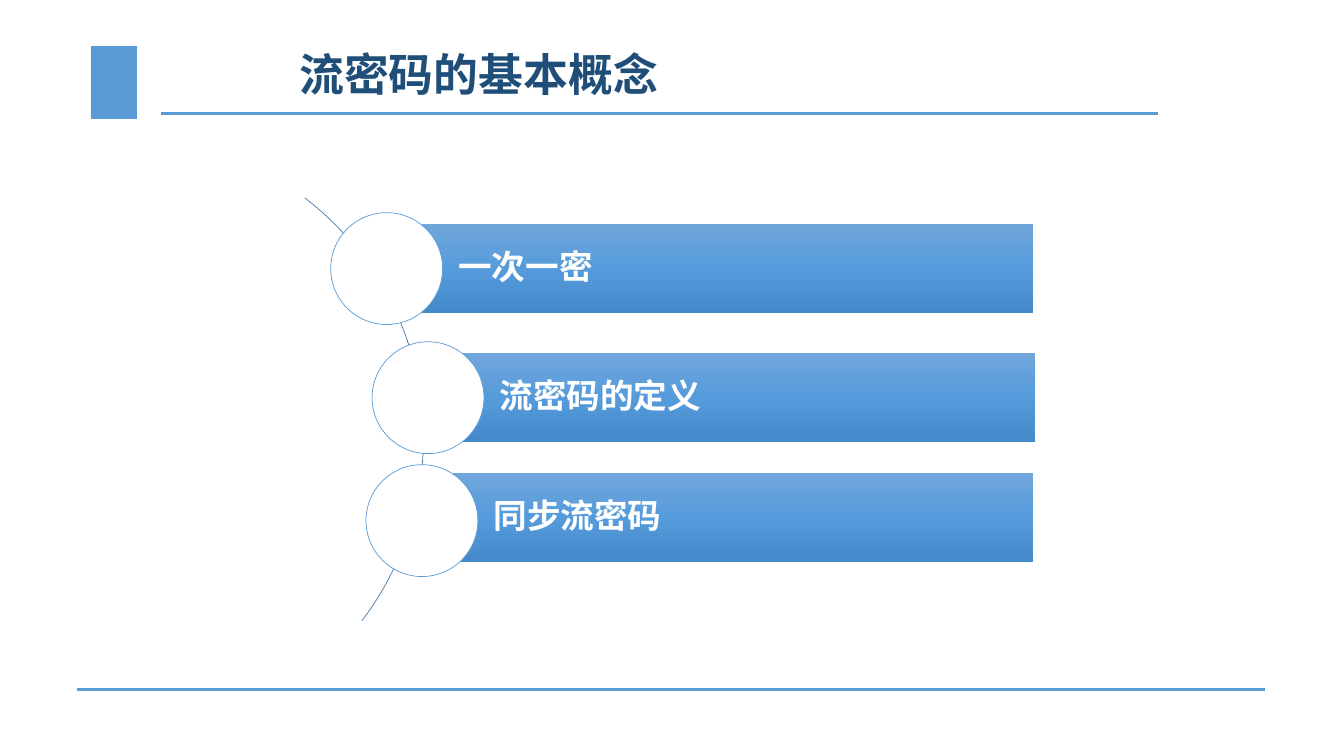
from copy import deepcopy

from pptx import Presentation, util as u
from pptx.dml.color import RGBColor
from pptx.enum import dml, shapes, text
from pptx.oxml import parse_xml
from pptx.oxml.ns import nsdecls, qn

WIDTH, HEIGHT = 13.33, 7.5
BLUE, NAVY, ARC_BLUE, WHITE = "5B9BD5", "1F4E79", "497CAB", "FFFFFF"
CJK_FONT, LATIN_FONT = "Noto Sans CJK SC", "Times New Roman"

TITLE = "流密码的基本概念"
TITLE_BOX = (2.87, 0.4, 7.41, 0.73)
MARKER_BOX = (0.9, 0.45, 0.46, 0.72)
RULES = [(1.6, 11.49, 1.13), (0.76, 12.55, 6.84)]

ARC_BOX = (-1.78, 1.35, 5.98, 5.99)
ARC_DEGREES = (307.32, 37.35)
CIRCLE, BAR_HEIGHT, BAR_INSET = 1.11, 0.89, 0.71
BAR_STOPS = [(0, "71A6DB"), (0.5, "559BDB"), (1, "448ACA")]
TOPICS = [
    {"label": "一次一密", "circle": (3.28, 2.11), "bar_top": 2.22, "bar_right": 10.25},
    {"label": "流密码的定义", "circle": (3.69, 3.39), "bar_top": 3.5, "bar_right": 10.27},
    {"label": "同步流密码", "circle": (3.63, 4.61), "bar_top": 4.69, "bar_right": 10.25},
]


def color(value):
    return RGBColor.from_string(value)


def add_preset(slide, kind, box, fill=None, line=None):
    shape = slide.shapes.add_shape(kind, *map(u.Inches, box))
    shape.shadow.inherit = False
    if fill:
        shape.fill.solid()
        shape.fill.fore_color.rgb = color(fill)
    else:
        shape.fill.background()
    if line:
        shape.line.color.rgb = color(line)
        shape.line.width = u.Pt(0.5)
    else:
        shape.line.fill.background()
    return shape


def write(shape, content, *, size, font, fill, insets):
    frame = shape.text_frame
    frame.word_wrap = True
    frame.vertical_anchor = text.MSO_ANCHOR.MIDDLE
    (frame.margin_left, frame.margin_top,
     frame.margin_right, frame.margin_bottom) = map(u.Inches, insets)
    paragraph = frame.paragraphs[0]
    paragraph.alignment = text.PP_ALIGN.LEFT
    paragraph.line_spacing = 0.9
    run = paragraph.add_run()
    run.text = content
    run.font.size = u.Pt(size)
    run.font.bold = True
    run.font.name = font
    run.font.color.rgb = color(fill)
    east_asian = parse_xml(f'<a:ea {nsdecls("a")} typeface="{CJK_FONT}"/>')
    run.font._element.find(qn("a:latin")).addnext(east_asian)


def fill_gradient(shape, stops):
    shape.fill.gradient()
    shape.fill.gradient_angle = 270
    stop_list = shape._element.spPr.find(".//" + qn("a:gsLst"))
    stop_list.append(deepcopy(stop_list[0]))
    for stop, (position, value) in zip(shape.fill.gradient_stops, stops):
        stop.position = position
        stop.color.rgb = color(value)


def add_rule(slide, left, right, top):
    ends = map(u.Inches, (left, top, right, top))
    rule = slide.shapes.add_connector(shapes.MSO_CONNECTOR.STRAIGHT, *ends)
    rule.line.color.rgb = color(BLUE)
    rule.line.width = u.Pt(2.25)
    rule._element.spPr.append(parse_xml(f'<a:effectLst {nsdecls("a")}/>'))


def add_topic(slide, label, circle, bar_top, bar_right):
    bar_left = circle[0] + CIRCLE / 2
    bar_box = (bar_left, bar_top, bar_right - bar_left, BAR_HEIGHT)
    bar = add_preset(slide, shapes.MSO_SHAPE.RECTANGLE, bar_box)
    fill_gradient(bar, BAR_STOPS)
    write(bar, label, size=24, font=LATIN_FONT, fill=WHITE,
          insets=(BAR_INSET, 0.07, 0.07, 0.07))
    add_preset(slide, shapes.MSO_SHAPE.OVAL, (*circle, CIRCLE, CIRCLE), WHITE, BLUE)


def main():
    presentation = Presentation()
    presentation.slide_width = u.Inches(WIDTH)
    presentation.slide_height = u.Inches(HEIGHT)
    slide = presentation.slides.add_slide(presentation.slide_layouts[6])

    marker = add_preset(slide, shapes.MSO_SHAPE.RECTANGLE, MARKER_BOX)
    marker.fill.patterned()
    marker.fill.pattern = dml.MSO_PATTERN.DARK_HORIZONTAL
    marker.fill.fore_color.rgb = color(BLUE)
    marker.fill.back_color.rgb = color(WHITE)
    for rule in RULES:
        add_rule(slide, *rule)

    title = slide.shapes.add_textbox(*map(u.Inches, TITLE_BOX))
    write(title, TITLE, size=32, font=CJK_FONT, fill=NAVY, insets=(0.1, 0.05, 0.1, 0.05))

    arc = add_preset(slide, shapes.MSO_SHAPE.BLOCK_ARC, ARC_BOX, line=ARC_BLUE)
    for index, degrees in enumerate(ARC_DEGREES):
        arc.adjustments[index] = degrees * 0.6
    arc.adjustments[2] = 0

    for topic in TOPICS:
        add_topic(slide, **topic)
    presentation.save("out.pptx")


if __name__ == "__main__":
    main()
